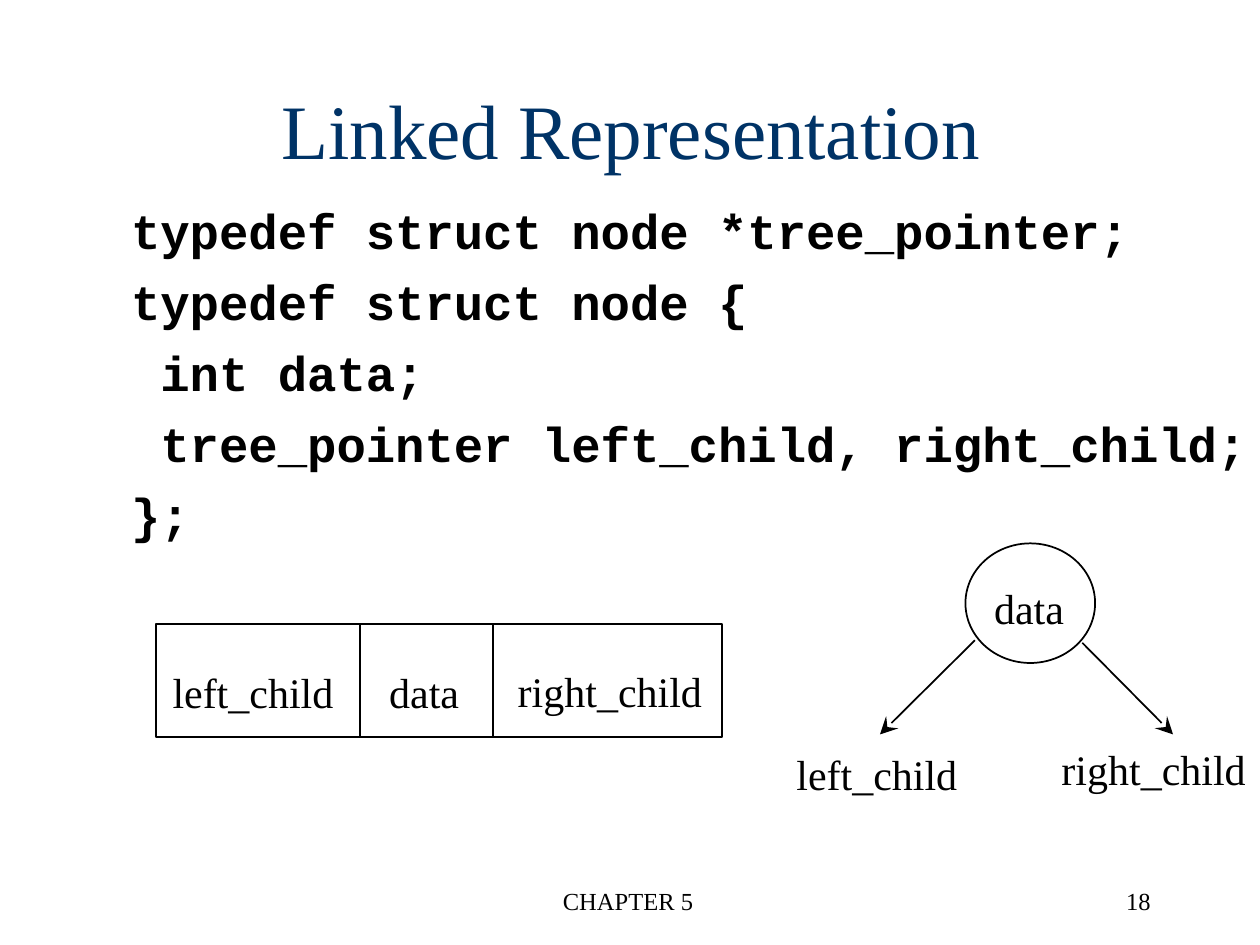
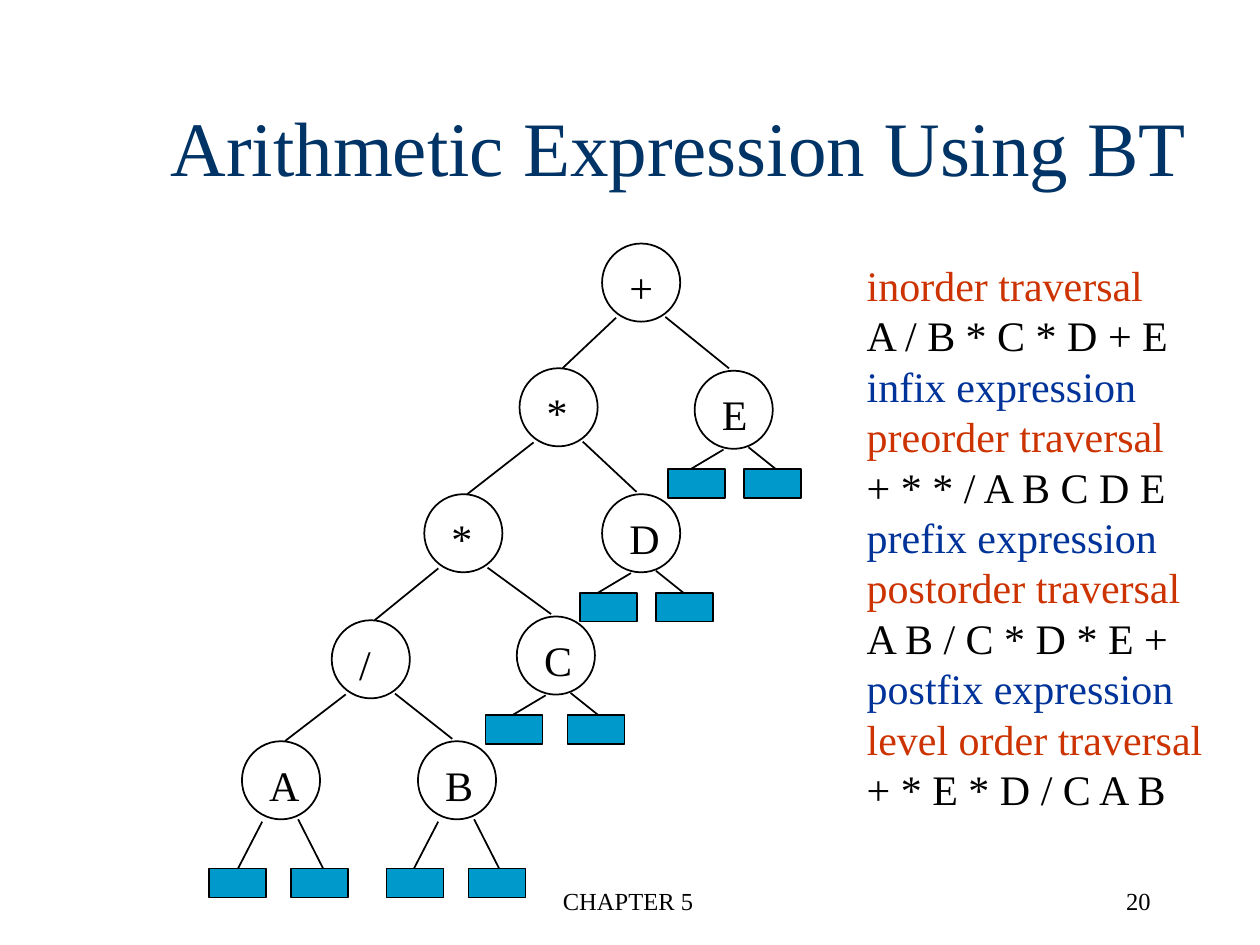
from dataclasses import dataclass

from lxml.etree import SubElement
from pptx import Presentation
from pptx.dml.color import RGBColor
from pptx.enum.shapes import MSO_CONNECTOR, MSO_SHAPE
from pptx.enum.text import MSO_ANCHOR, MSO_AUTO_SIZE, PP_ALIGN
from pptx.oxml.ns import qn
from pptx.util import Inches, Pt


@dataclass(frozen=True)
class Theme:
    ink: str = "000000"
    heading: str = "003366"
    leaf: str = "0099CC"
    traversal: str = "CC3300"
    notation: str = "003399"
    serif: str = "Times New Roman"
    mono: str = "Courier New"
    title_size: int = 44
    code_size: int = 28
    label_size: int = 24
    footer_size: int = 14
    stroke: float = 1


@dataclass(frozen=True)
class Grid:
    left: float
    top: float
    col: float
    row: float

    def point(self, x, y):
        return self.left + x * self.col, self.top + y * self.row

    def box(self, x, y, w, h):
        return Grid(*self.point(x, y), w * self.col, h * self.row)

    def emu(self):
        return [Inches(v) for v in (self.left, self.top, self.col, self.row)]


THEME = Theme()
PAGE = Grid(0, 0, 10, 7.5)
LABEL_HEIGHT = 0.5
LABEL_WIDTHS = {"data": 0.77, "left_child": 1.5, "right_child": 1.68}
NODE_SIZE = 0.62

CODE = [
    "typedef struct node *tree_pointer;",
    "typedef struct node {",
    " int data;",
    " tree_pointer left_child, right_child;",
    "};",
]

TREE_NODES = {
    "plus": ("+", 3.97, 0),
    "times_upper": ("*", 3.06, 1),
    "times_lower": ("*", 2.01, 2.01),
    "divide": ("/", 0.99, 3.02),
    "a": ("A", 0, 3.99),
    "b": ("B", 1.94, 3.99),
    "c": ("C", 3.03, 2.99),
    "d": ("D", 3.97, 2.01),
    "e": ("E", 4.99, 1.02),
}
CHILDREN = {
    "plus": ("times_upper", "e"),
    "times_upper": ("times_lower", "d"),
    "times_lower": ("divide", "c"),
    "divide": ("a", "b"),
}
EDGE_ENDS = [((-0.32, 0.45), (0.05, -0.5)), ((0.31, 0.44), (-0.06, -0.53))]
DEEP = (1.13, (-0.24, 0.53), (0.22, 0.5))
SHALLOW = (0.76, (-0.13, 0.51), (0.19, 0.48))
LEAF_PAIRS = {
    "a": (-0.92, 1.05, DEEP),
    "b": (-0.9, 1.05, DEEP),
    "c": (-0.9, 1.05, SHALLOW),
    "d": (-0.78, 0.97, SHALLOW),
    "e": (-0.84, 0.97, SHALLOW),
}
GLYPH_WIDTHS = {"+": 0.19, "*": 0.17, "/": 0.09, "A": 0.24,
                "B": 0.22, "C": 0.22, "D": 0.24, "E": 0.21}

TRAVERSALS = [
    ("inorder traversal", "A / B * C * D + E", "infix expression"),
    ("preorder traversal", "+ * * / A B C D E", "prefix expression"),
    ("postorder traversal", "A B / C * D * E +", "postfix expression"),
    ("level order traversal", "+ * E * D / C A B"),
]


def rgb(value):
    return RGBColor.from_string(value)


def apply(target, formats):
    for name, value in formats.items():
        setattr(target, name, value)


def write(frame, lines, font, size, color=THEME.ink, bold=False, **paragraph_formats):
    for index, line in enumerate(lines):
        text, ink = line if isinstance(line, tuple) else (line, color)
        paragraph = frame.paragraphs[0] if index == 0 else frame.add_paragraph()
        apply(paragraph, paragraph_formats)
        run = paragraph.add_run()
        run.text = text
        apply(run.font, {"name": font, "size": Pt(size), "bold": bold})
        run.font.color.rgb = rgb(ink)


def place(placeholder, area, anchor):
    left, top, width, height = area.emu()
    apply(placeholder, {"left": left, "top": top, "width": width, "height": height})
    apply(placeholder.text_frame, {"auto_size": MSO_AUTO_SIZE.NONE,
                                   "vertical_anchor": anchor, "word_wrap": True})


def label(shapes, area, lines):
    frame = shapes.add_textbox(*area.emu()).text_frame
    apply(frame, {"word_wrap": False, "auto_size": MSO_AUTO_SIZE.SHAPE_TO_FIT_TEXT})
    write(frame, lines, THEME.serif, THEME.label_size)


def field_labels(shapes, area, corners):
    for text, corner in corners.items():
        label(shapes, Grid(*area.point(*corner), LABEL_WIDTHS[text], LABEL_HEIGHT), [text])


def outline(shapes, kind, area, fill=None):
    shape = shapes.add_shape(kind, *area.emu())
    shape.shadow.inherit = False
    if fill:
        shape.fill.solid()
        shape.fill.fore_color.rgb = rgb(fill)
    else:
        shape.fill.background()
    shape.line.color.rgb = rgb(THEME.ink)
    shape.line.width = Pt(THEME.stroke)


def connect(shapes, start, end, arrow=False):
    line = shapes.add_connector(MSO_CONNECTOR.STRAIGHT,
                                *[Inches(v) for v in (*start, *end)])
    line.line.color.rgb = rgb(THEME.ink)
    line.line.width = Pt(THEME.stroke)
    properties = line._element.spPr
    if arrow:
        SubElement(properties.find(qn("a:ln")), qn("a:tailEnd"), type="stealth",
                   w="lg", len="lg")
    SubElement(properties, qn("a:effectLst"))


def start_slide(deck, layout, title, number, title_area):
    slide = deck.slides.add_slide(deck.slide_layouts[layout])
    place(slide.shapes.title, title_area, MSO_ANCHOR.MIDDLE)
    write(slide.shapes.title.text_frame, [title], THEME.serif, THEME.title_size,
          THEME.heading, alignment=PP_ALIGN.CENTER)
    for text, x, width, alignment in [("CHAPTER 5", 0.34, 0.317, PP_ALIGN.CENTER),
                                      (number, 0.715, 0.208, PP_ALIGN.RIGHT)]:
        frame = slide.shapes.add_textbox(*PAGE.box(x, 0.931, width, 0.067).emu()).text_frame
        frame.word_wrap = True
        write(frame, [text], THEME.serif, THEME.footer_size,
              alignment=alignment, space_before=Pt(8.8))
    return slide


def code_listing(body, area):
    place(body, area, MSO_ANCHOR.TOP)
    write(body.text_frame, CODE, THEME.mono, THEME.code_size, bold=True,
          space_before=Pt(7))
    for paragraph in body.text_frame.paragraphs:
        properties = paragraph._p.get_or_add_pPr()
        properties.set("marL", str(Inches(0.38)))
        properties.set("indent", str(-Inches(0.38)))
        SubElement(properties, qn("a:buNone"))


def node_record(shapes, area):
    outline(shapes, MSO_SHAPE.RECTANGLE, area)
    for share in (0.36, 0.595):
        connect(shapes, area.point(share, 0.01), area.point(share, 0.99))
    field_labels(shapes, area, {"data": (0.39, 0.32), "left_child": (0.007, 0.32),
                                "right_child": (0.617, 0.31)})


def node_pointers(shapes, area):
    outline(shapes, MSO_SHAPE.OVAL, area.box(0.38, 0, 0.273, 0.457))
    for start, end in [((0.4, 0.37), (0.2, 0.73)), ((0.626, 0.38), (0.817, 0.73))]:
        connect(shapes, area.point(*start), area.point(*end), arrow=True)
    field_labels(shapes, area, {"data": (0.414, 0.125), "left_child": (-0.002, 0.76),
                                "right_child": (0.556, 0.74)})


def tree_node(shapes, center, symbol):
    members = shapes.add_group_shape().shapes
    outline(members, MSO_SHAPE.OVAL, center.box(-0.5, -0.5, 1, 1))
    width = GLYPH_WIDTHS[symbol] + 0.2
    label(members, Grid(*center.point(-0.31, -0.35), width, LABEL_HEIGHT), [symbol])


def leaf_pair(shapes, center, first, gap, shape_of_fall):
    drop, *starts = shape_of_fall
    for side, (start, end) in enumerate(zip(starts, (-0.55, 0.54))):
        outline(shapes, MSO_SHAPE.RECTANGLE,
                center.box(first + side * gap, drop, 0.73, 0.37), THEME.leaf)
        connect(shapes, center.point(*start), center.point(end, drop))


def expression_tree(shapes, grid):
    centers = {key: Grid(*grid.point(col, row), NODE_SIZE, NODE_SIZE)
               for key, (_, col, row) in TREE_NODES.items()}
    for key, (symbol, _, _) in TREE_NODES.items():
        tree_node(shapes, centers[key], symbol)
    for parent, pair in CHILDREN.items():
        for child, (start, end) in zip(pair, EDGE_ENDS):
            connect(shapes, centers[parent].point(*start), centers[child].point(*end))
    for key, leaves in LEAF_PAIRS.items():
        leaf_pair(shapes, centers[key], *leaves)


def traversal_list(shapes, area):
    colors = (THEME.traversal, THEME.ink, THEME.notation)
    label(shapes, area, [line for group in TRAVERSALS for line in zip(group, colors)])


def linked_slide(deck):
    slide = start_slide(deck, 1, "Linked Representation", "18",
                        PAGE.box(0, 0.053, 1.002, 0.167))
    code_listing(slide.placeholders[1], PAGE.box(0.094, 0.205, 1.002, 0.348))
    node_record(slide.shapes, PAGE.box(0.124, 0.66, 0.449, 0.12))
    node_pointers(slide.shapes, PAGE.box(0.623, 0.575, 0.377, 0.277))


def expression_slide(deck):
    slide = start_slide(deck, 5, "Arithmetic Expression Using BT", "20",
                        PAGE.box(0.038, 0.071, 1.002, 0.167))
    expression_tree(slide.shapes, PAGE.box(0.223, 0.299, 0.072, 0.132))
    traversal_list(slide.shapes, PAGE.box(0.678, 0.268, 0.288, 0.6))


deck = Presentation()
deck.slide_width, deck.slide_height = Inches(PAGE.col), Inches(PAGE.row)
linked_slide(deck)
expression_slide(deck)
deck.save("out.pptx")
